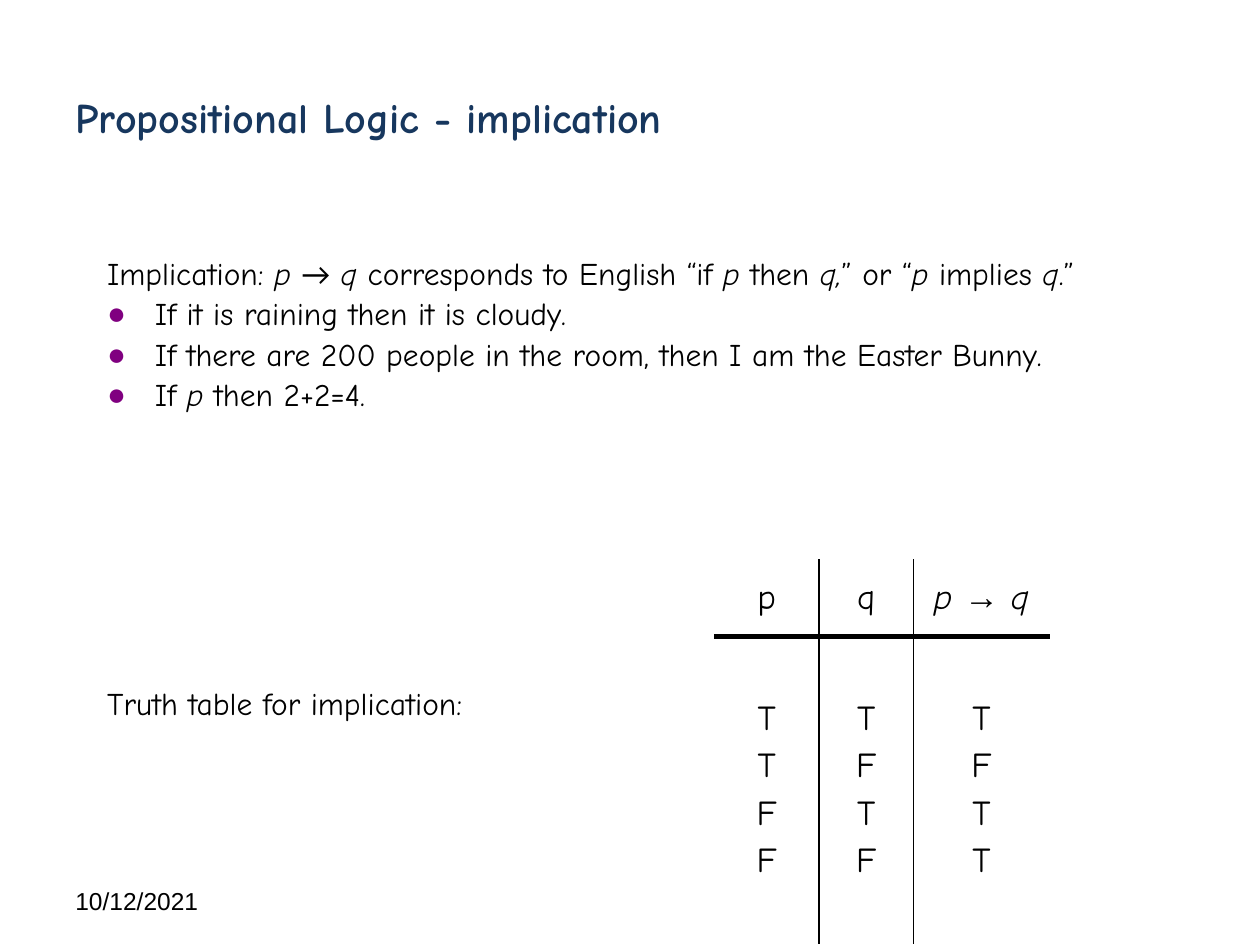
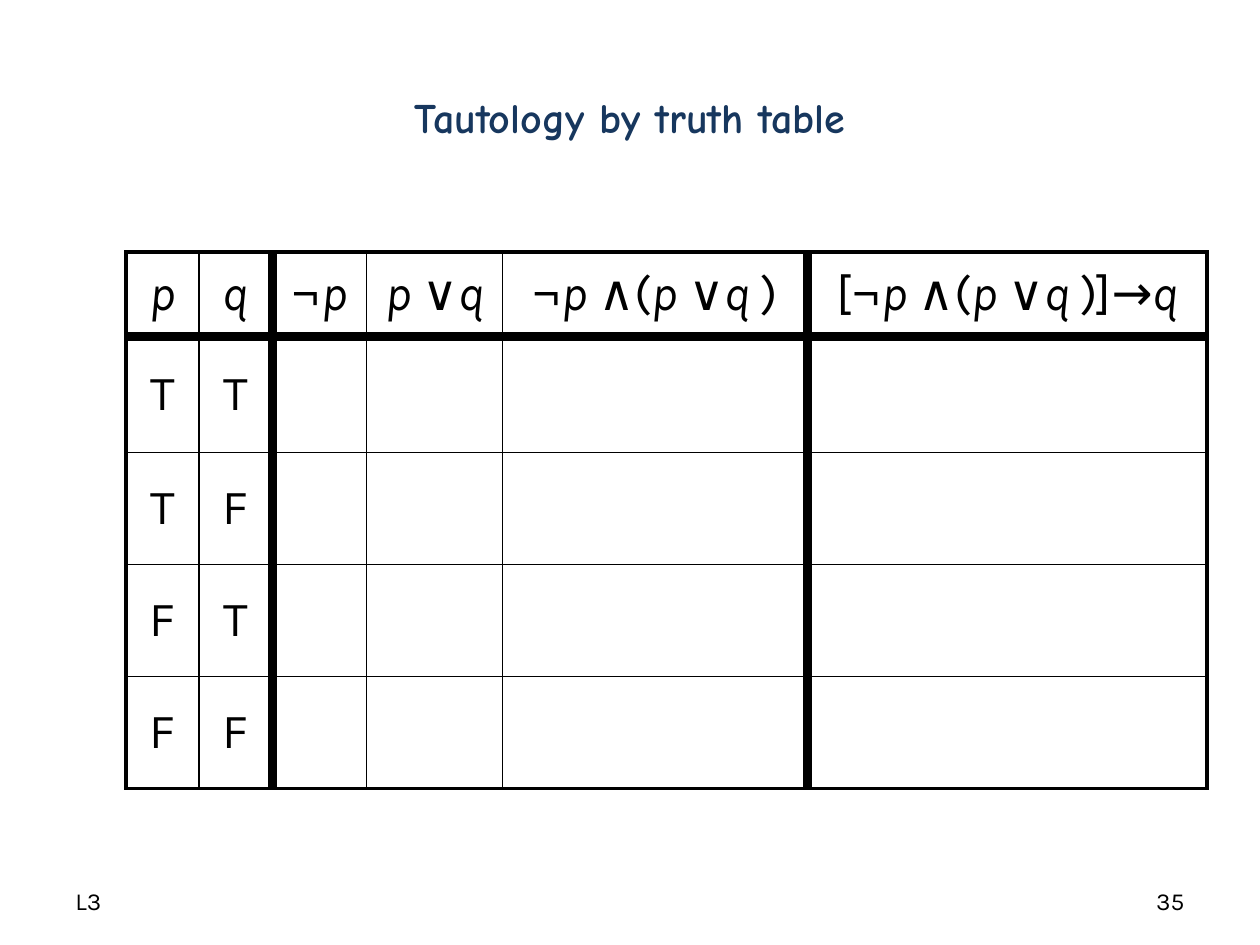
from dataclasses import dataclass
from itertools import groupby

from lxml.etree import SubElement
from pptx import Presentation
from pptx.dml.color import RGBColor
from pptx.enum.text import MSO_ANCHOR, MSO_AUTO_SIZE, PP_ALIGN
from pptx.oxml.ns import qn
from pptx.util import Inches, Pt

BLACK, NAVY, PURPLE = "000000", "17375E", "800080"
HAND, PLAIN, SANS, SERIF = "Comic Neue", "Karla", "Arial", "Times New Roman"
TITLE_BOX = (0.5, 0.3, 9, 1.25)
FOOTER_LEFT = (0.5, 6.95, 2.33, 0.4)
FOOTER_RIGHT = (7.17, 6.95, 2.33, 0.4)


@dataclass
class Style:
    """Look of a text; symbol_fonts maps single characters to other fonts."""
    font: str
    size: float
    color: str = BLACK
    bold: bool = False
    symbol_fonts: tuple = ()
    bold_symbols: str = ""


def color_of(hex_string):
    """Turn a hex string into a colour."""
    return RGBColor.from_string(hex_string)


def place(shape, box):
    """Move a shape to a box of left, top, width and height in inches."""
    shape.left, shape.top, shape.width, shape.height = map(Inches, box)


def write(para, marked, style):
    """Write text into a paragraph; asterisks switch italics on and off."""
    fonts = dict(style.symbol_fonts)
    for index, part in enumerate(marked.split("*")):
        for symbol, letters in groupby(part, lambda c: c if c in fonts else ""):
            span = para.add_run()
            span.text = "".join(letters)
            span.font.name = fonts.get(symbol, style.font)
            span.font.size = Pt(style.size)
            span.font.bold = style.bold or (symbol != "" and symbol in style.bold_symbols)
            span.font.italic = index % 2 == 1
            span.font.color.rgb = color_of(style.color)


def space_before(para, percent):
    """Set the gap above a paragraph as a share of its line height."""
    para.space_before = Pt(0)
    spacing = para._p.pPr.find(qn("a:spcBef"))
    spacing.remove(spacing[0])
    SubElement(spacing, qn("a:spcPct"), val=str(percent * 1000))


def set_bullet(para, bullet):
    """Give a paragraph a hanging indent, with a purple dot or no bullet."""
    props = para._p.get_or_add_pPr()
    props.set("marL", str(Inches(0.38)))
    props.set("indent", str(-Inches(0.38)))
    if bullet:
        holder = SubElement(props, qn("a:buClr"))
        SubElement(holder, qn("a:srgbClr"), val=PURPLE)
        SubElement(props, qn("a:buChar"), char="●")
    else:
        SubElement(props, qn("a:buNone"))


def fill_title(page, text, align):
    """Place and format the slide title."""
    place(page.shapes.title, TITLE_BOX)
    frame = page.shapes.title.text_frame
    frame.auto_size = MSO_AUTO_SIZE.NONE
    frame.vertical_anchor = MSO_ANCHOR.MIDDLE
    para = frame.paragraphs[0]
    para.alignment = align
    write(para, text, Style(HAND, 24, NAVY, bold=True))


def fill_body(holder, box, lines, style):
    """Fill a body placeholder with (text, has bullet) lines."""
    place(holder, box)
    frame = holder.text_frame
    frame.auto_size = MSO_AUTO_SIZE.NONE
    frame.vertical_anchor = MSO_ANCHOR.TOP
    for index, (text, bullet) in enumerate(lines):
        para = frame.add_paragraph() if index else frame.paragraphs[0]
        para.line_spacing = 0.9
        space_before(para, 20)
        set_bullet(para, bullet)
        write(para, text, style)


def add_footer(page, box, text, font, align=PP_ALIGN.LEFT):
    """Add a small text at the foot of the slide."""
    frame = page.shapes.add_textbox(*map(Inches, box)).text_frame
    frame.word_wrap = True
    frame.vertical_anchor = MSO_ANCHOR.MIDDLE
    frame.paragraphs[0].alignment = align
    write(frame.paragraphs[0], text, Style(font, 14))


def set_borders(cell, widths):
    """Draw left, right, top and bottom borders; zero width means no line."""
    props = cell._tc.get_or_add_tcPr()
    for side, width in zip("LRTB", widths):
        line = SubElement(props, qn(f"a:ln{side}"), w=str(Pt(width)))
        if width:
            fill = SubElement(line, qn("a:solidFill"))
            SubElement(fill, qn("a:srgbClr"), val=BLACK)
        else:
            SubElement(line, qn("a:noFill"))


def add_truth_table(page, corner, columns, heights, rows, rules, style):
    """Add a table; rules holds the vertical and the horizontal line widths."""
    box = (*corner, sum(columns), sum(heights))
    table = page.shapes.add_table(len(heights), len(columns), *map(Inches, box)).table
    table.first_row = table.horz_banding = False
    for column, width in zip(table.columns, columns):
        column.width = Inches(width)
    for row, height in zip(table.rows, heights):
        row.height = Inches(height)
    upright, level = rules
    for r, texts in enumerate(rows):
        for c, text in enumerate(texts):
            cell = table.cell(r, c)
            set_borders(cell, upright[c:c + 2] + level[r:r + 2])
            cell.fill.background()
            cell.vertical_anchor = MSO_ANCHOR.MIDDLE
            for index, line in enumerate(text.split("\n")):
                frame = cell.text_frame
                para = frame.add_paragraph() if index else frame.paragraphs[0]
                para.alignment = PP_ALIGN.CENTER
                space_before(para, 20)
                write(para, line, style)


def build_implication(deck):
    """Build the slide with examples and the truth table of implication."""
    page = deck.slides.add_slide(deck.slide_layouts[3])
    add_footer(page, FOOTER_LEFT, "10/12/2021", SANS)
    fill_title(page, "Propositional Logic - implication", PP_ALIGN.LEFT)
    style = Style(HAND, 18, symbol_fonts=(("→", "Calibri"),))
    examples = [
        ("Implication: *p *→ *q* corresponds to English “if *p* then *q,*” "
         "or “*p *implies* q*.”", False),
        ("If it is raining then it is cloudy.", True),
        ("If there are 200 people in the room, then I am the Easter Bunny.", True),
        ("If *p* then 2+2=4.", True),
    ]
    fill_body(page.placeholders[1], (0.75, 2, 8.05, 2.5), examples, style)
    fill_body(page.placeholders[2], (0.75, 5.41, 8.05, 1.17),
              [("Truth table for implication:", False)], style)
    rows = [("p", "q", "*p *→ *q*"),
            ["\n".join(values) for values in ("TTFF", "TFTF", "TFTT")]]
    add_truth_table(page, (5.67, 4.44), (0.83, 0.75, 1.08), (0.61, 2.44), rows,
                    ((0, 1, 1, 0), (0, 3, 0)),
                    Style(HAND, 20, symbol_fonts=(("→", SANS),)))


def build_tautology(deck):
    """Build the slide with the truth table to be filled in."""
    page = deck.slides.add_slide(deck.slide_layouts[5])
    add_footer(page, FOOTER_LEFT, "L3", PLAIN)
    add_footer(page, FOOTER_RIGHT, "35", PLAIN, PP_ALIGN.RIGHT)
    fill_title(page, "Tautology by truth table", PP_ALIGN.CENTER)
    both = "*¬p *∧(*p *∨*q *)"
    header = ("*p*", "*q*", "*¬p*", "*p *∨*q*", both, f"[{both}]→*q*")
    rows = [header] + [(p, q, "", "", "", "") for p in "TF" for q in "TF"]
    add_truth_table(page, (1, 2), (0.58, 0.58, 0.75, 1.08, 2.42, 3.17),
                    (0.67, 0.92, 0.89, 0.89, 0.89), rows,
                    ((2.25, 1, 6, 1, 1, 6, 2.25), (2.25, 6, 0.25, 1, 1, 2.25)),
                    Style(PLAIN, 28, symbol_fonts=(("¬", SERIF),), bold_symbols="¬"))


deck = Presentation()
deck.slide_width, deck.slide_height = Inches(10), Inches(7.5)
build_implication(deck)
build_tautology(deck)
deck.save("out.pptx")
